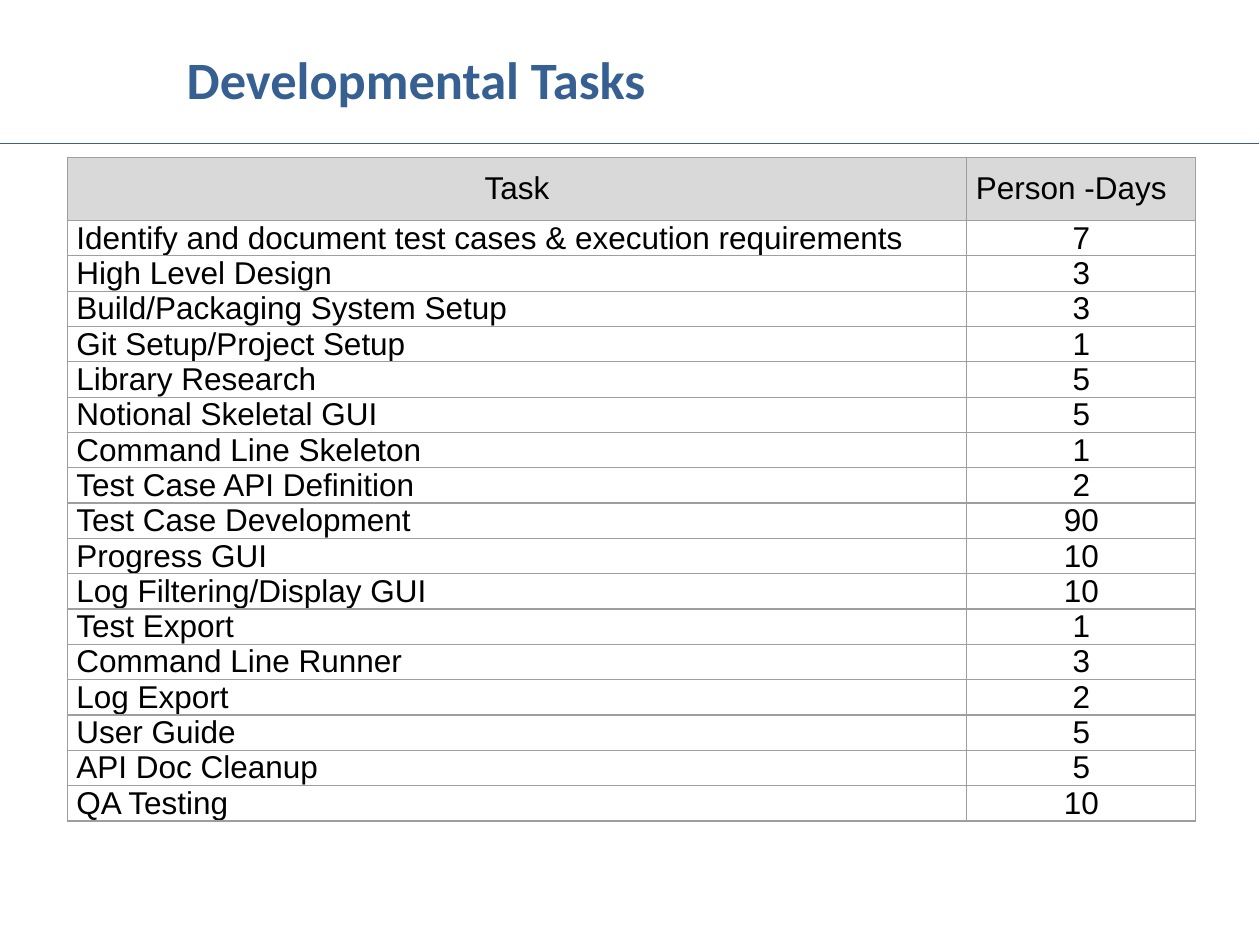
from dataclasses import dataclass

from lxml import etree
from pptx import Presentation
from pptx.dml.color import RGBColor
from pptx.enum.shapes import MSO_CONNECTOR
from pptx.enum.text import MSO_ANCHOR, PP_ALIGN
from pptx.oxml.ns import qn
from pptx.util import Pt

LEFT, CENTER = PP_ALIGN.LEFT, PP_ALIGN.CENTER
MIDDLE, BOTTOM = MSO_ANCHOR.MIDDLE, MSO_ANCHOR.BOTTOM
STRAIGHT = MSO_CONNECTOR.STRAIGHT

COLORS = {
    "title": "366092",
    "text": "000000",
    "header": "D9D9D9",
    "border": "9E9E9E",
}
COL_WIDTHS = (514, 131)
HEADER_HEIGHT, FIRST_HEIGHT, ROW_HEIGHT = 36, 19.5, 18


@dataclass
class Task:
    name: str
    days: int


TASKS = [
    Task("Identify and document test cases & execution requirements", 7),
    Task("High Level Design", 3),
    Task("Build/Packaging System Setup", 3),
    Task("Git Setup/Project Setup", 1),
    Task("Library Research", 5),
    Task("Notional Skeletal GUI", 5),
    Task("Command Line Skeleton", 1),
    Task("Test Case API Definition", 2),
    Task("Test Case Development", 90),
    Task("Progress GUI", 10),
    Task("Log Filtering/Display GUI", 10),
    Task("Test Export", 1),
    Task("Command Line Runner", 3),
    Task("Log Export", 2),
    Task("User Guide", 5),
    Task("API Doc Cleanup", 5),
    Task("QA Testing", 10),
]


def rgb(name: str) -> RGBColor:
    return RGBColor.from_string(COLORS[name])


def style_font(font, name: str, size: float, color: str, bold: bool = False) -> None:
    font.name, font.size, font.bold = name, Pt(size), bold
    font.color.rgb = rgb(color)


def add_borders(cell, color: str, width: float) -> None:
    tc_pr = cell._tc.get_or_add_tcPr()
    for i, side in enumerate(("a:lnL", "a:lnR", "a:lnT", "a:lnB")):
        ln = etree.Element(qn(side), w=str(Pt(width)))
        fill = etree.SubElement(ln, qn("a:solidFill"))
        etree.SubElement(fill, qn("a:srgbClr"), val=COLORS[color])
        tc_pr.insert(i, ln)


def fill_cell(cell, text: str, align, anchor, header: bool) -> None:
    cell.margin_left = cell.margin_right = Pt(5.25)
    cell.margin_top = cell.margin_bottom = 0
    cell.vertical_anchor = anchor
    if header:
        cell.fill.solid()
        cell.fill.fore_color.rgb = rgb("header")
    else:
        cell.fill.background()
    add_borders(cell, "border", 0.75)
    p = cell.text_frame.paragraphs[0]
    p.text, p.alignment = text, align
    style_font(p.runs[0].font, "Arial", 18, "text")


def add_title(s, text: str) -> None:
    sp = s.shapes.title
    sp.left, sp.top, sp.width, sp.height = Pt(99.5), 0, Pt(584.5), Pt(90)
    tf = sp.text_frame
    tf.text = text
    tf.word_wrap = True
    tf.vertical_anchor = MIDDLE
    tf.margin_left = tf.margin_right = tf.margin_top = tf.margin_bottom = Pt(7.2)
    p = tf.paragraphs[0]
    p.alignment = LEFT
    style_font(p.runs[0].font, "Calibri", 30, "title", True)


def add_rule(s, x1: float, x2: float, y: float) -> None:
    line = s.shapes.add_connector(STRAIGHT, Pt(x1), Pt(y), Pt(x2), Pt(y))
    line.line.color.rgb = rgb("title")
    line.line.width = Pt(1)
    etree.SubElement(line._element.spPr, qn("a:effectLst"))


def add_task_table(s, tasks: list[Task]) -> None:
    heights = [HEADER_HEIGHT, FIRST_HEIGHT] + [ROW_HEIGHT] * (len(tasks) - 1)
    table = s.shapes.add_table(
        len(heights), len(COL_WIDTHS), Pt(38.4), Pt(90),
        Pt(sum(COL_WIDTHS)), Pt(sum(heights)),
    ).table
    table.first_row = table.horz_banding = False
    for col, width in zip(table.columns, COL_WIDTHS):
        col.width = Pt(width)
    for row, height in zip(table.rows, heights):
        row.height = Pt(height)
    fill_cell(table.cell(0, 0), "Task", CENTER, MIDDLE, True)
    fill_cell(table.cell(0, 1), "Person -Days", LEFT, MIDDLE, True)
    for i, task in enumerate(tasks, 1):
        fill_cell(table.cell(i, 0), task.name, LEFT, BOTTOM, False)
        fill_cell(table.cell(i, 1), str(task.days), CENTER, BOTTOM, False)


def main() -> None:
    prs = Presentation()
    prs.slide_width, prs.slide_height = Pt(720), Pt(540)
    s = prs.slides.add_slide(prs.slide_layouts[5])
    add_rule(s, -0.5, 719.5, 82)
    add_title(s, "Developmental Tasks")
    add_task_table(s, TASKS)
    prs.save("out.pptx")


if __name__ == "__main__":
    main()
